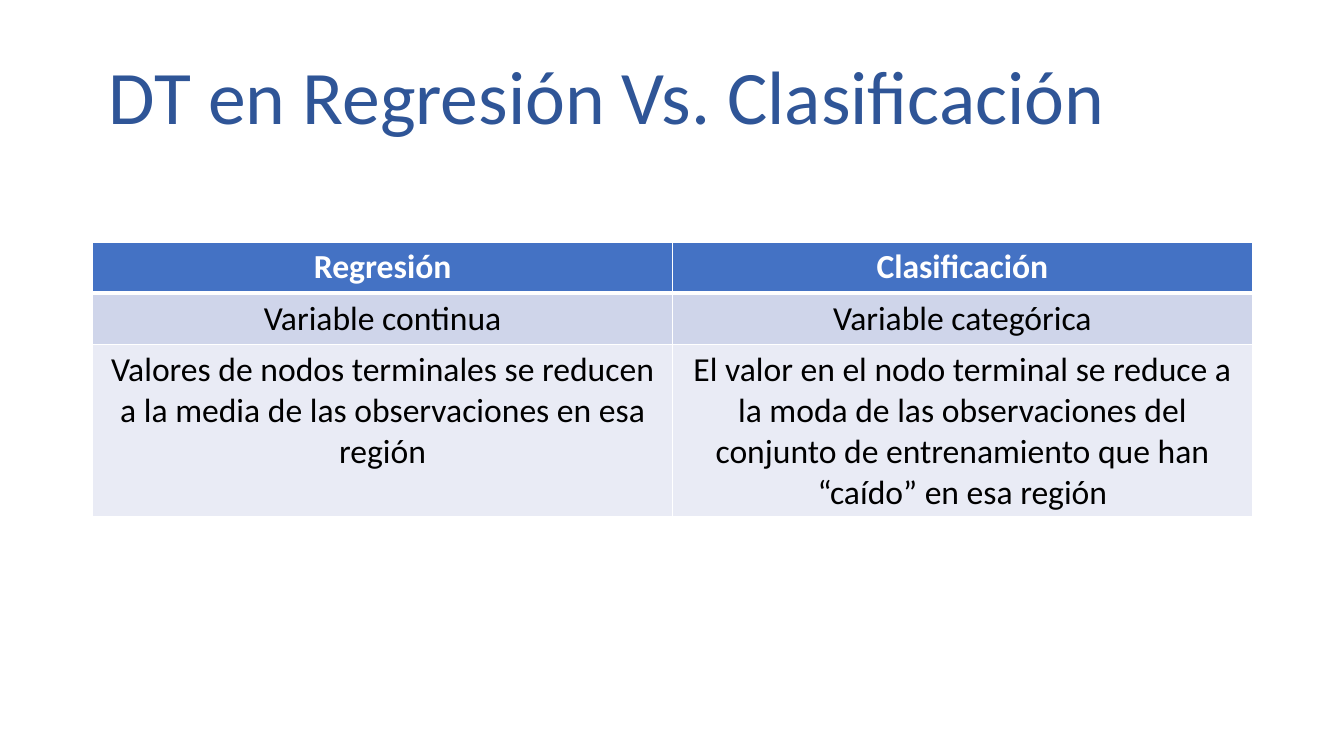
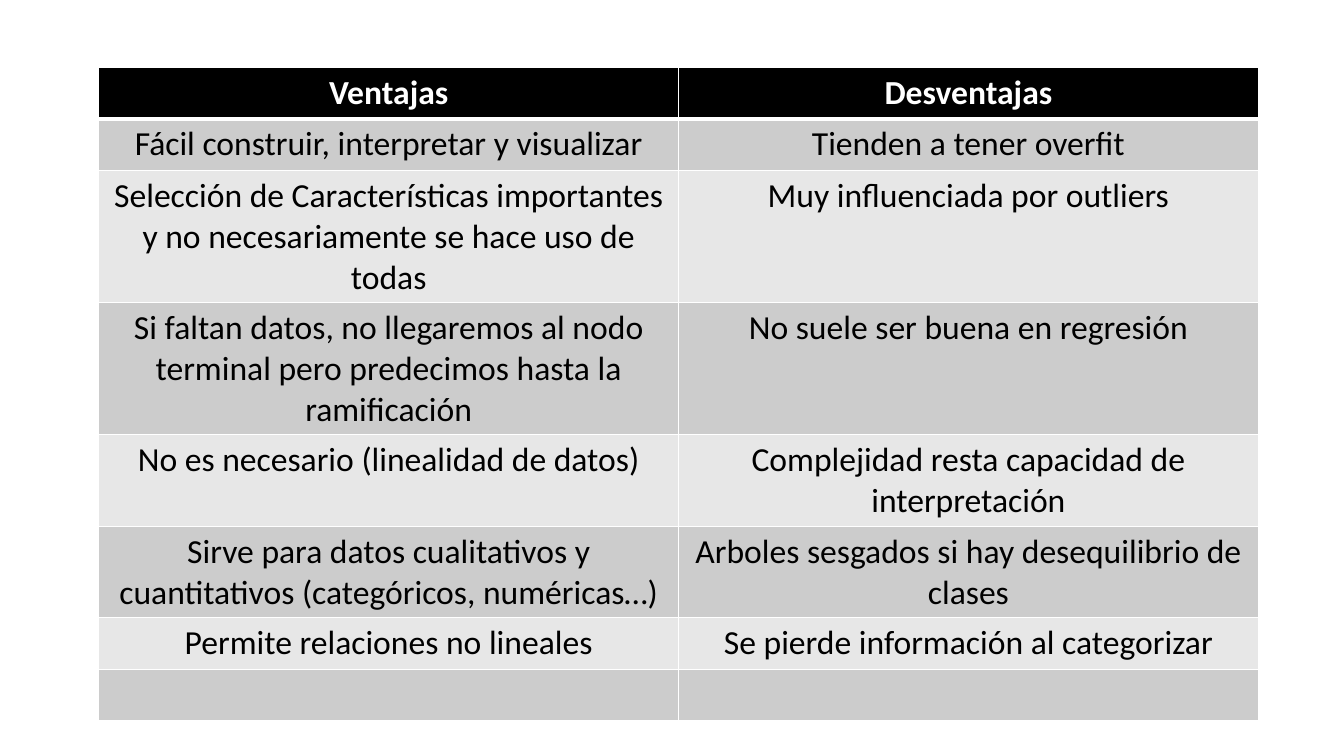
from lxml import etree
from pptx import Presentation
from pptx import util as u
from pptx.dml.color import RGBColor
from pptx.enum import text
from pptx.oxml.ns import qn

PX = 9144
FONT = "Calibri"
HEX = {
    "title": "2F5597", "white": "FFFFFF", "black": "000000",
    "blue": "4472C4", "mist": "CFD5EA", "pale": "E9EBF5",
    "gray": "CCCCCC", "light": "E7E7E7",
}
BLUE = ("blue", "mist", "pale")
GRAY = ("black", "gray", "light")

MODES = [
    (1, "Regresión", "Clasificación"),
    (1, "Variable continua", "Variable categórica"),
    (4, "Valores de nodos terminales se reducen a la media de las observaciones en esa región",
     "El valor en el nodo terminal se reduce a la moda de las observaciones del conjunto "
     "de entrenamiento que han “caído” en esa región"),
]
TRAITS = [
    (1, "Ventajas", "Desventajas"),
    (1, "Fácil construir, interpretar y visualizar", "Tienden a tener overfit"),
    (3, "Selección de Características importantes y no necesariamente se hace uso de todas",
     "Muy influenciada por outliers"),
    (3, "Si faltan datos, no llegaremos al nodo terminal pero predecimos hasta la ramificación",
     "No suele ser buena en regresión"),
    (2, "No es necesario (linealidad de datos)", "Complejidad resta capacidad de interpretación"),
    (2, "Sirve para datos cualitativos y cuantitativos (categóricos, numéricas…)",
     "Arboles sesgados si hay desequilibrio de clases"),
    (1, "Permite relaciones no lineales", "Se pierde información al categorizar"),
    (1, "", ""),
]


def px(num):
    """Turn px into EMU."""
    return u.Emu(num * PX)


def rgb(name):
    """Look up a colour by name."""
    return RGBColor.from_string(HEX[name])


def style(para, size, color, bold=False):
    """Centre a paragraph and format its runs."""
    para.alignment = text.PP_ALIGN.CENTER
    for run in para.runs:
        run.font.name = FONT
        run.font.size = u.Pt(size)
        run.font.bold = bold
        run.font.color.rgb = rgb(color)


def edge(cell, side, width):
    """Draw one white cell border."""
    line = etree.SubElement(cell._tc.get_or_add_tcPr(), qn("a:ln" + side), w=str(u.Pt(width)))
    fill = etree.SubElement(line, qn("a:solidFill"))
    etree.SubElement(fill, qn("a:srgbClr"), val=HEX["white"])


def title(slide, box, words):
    """Place the slide title in its box."""
    frame = slide.shapes.add_textbox(*map(px, box)).text_frame
    frame.word_wrap = True
    frame.vertical_anchor = text.MSO_ANCHOR.MIDDLE
    frame.text = words
    frame.paragraphs[0].line_spacing = 0.9
    style(frame.paragraphs[0], 54, "title")


def grid(slide, box, rows, tones):
    """Fill a box with a banded table, its rows as tall as their line counts."""
    head, *bands = tones
    cols = len(rows[0]) - 1
    table = slide.shapes.add_table(len(rows), cols, *map(px, box)).table
    for i, (lines, *words) in enumerate(rows):
        table.rows[i].height = px(11 + 40 * lines)
        tone = bands[(i - 1) % 2] if i else head
        for j, word in enumerate(words):
            cell = table.cell(i, j)
            for side in "LRTB":
                thick = (i, side) in ((0, "B"), (1, "T"))
                edge(cell, side, 3 if thick else 1)
            cell.fill.solid()
            cell.fill.fore_color.rgb = rgb(tone)
            cell.text_frame.text = word
            style(cell.text_frame.paragraphs[0], 24, "black" if i else "white", not i)


def main():
    """Build and save both slides."""
    deck = Presentation()
    deck.slide_width, deck.slide_height = px(1333), px(750)
    blank = deck.slide_layouts[6]

    slide = deck.slides.add_slide(blank)
    title(slide, (92, 27, 1020, 145), "DT en Regresión Vs. Clasificación")
    grid(slide, (92, 240, 1150, 273), MODES, BLUE)

    slide = deck.slides.add_slide(blank)
    grid(slide, (98, 67, 1150, 648), TRAITS, GRAY)

    deck.save("out.pptx")


if __name__ == "__main__":
    main()
